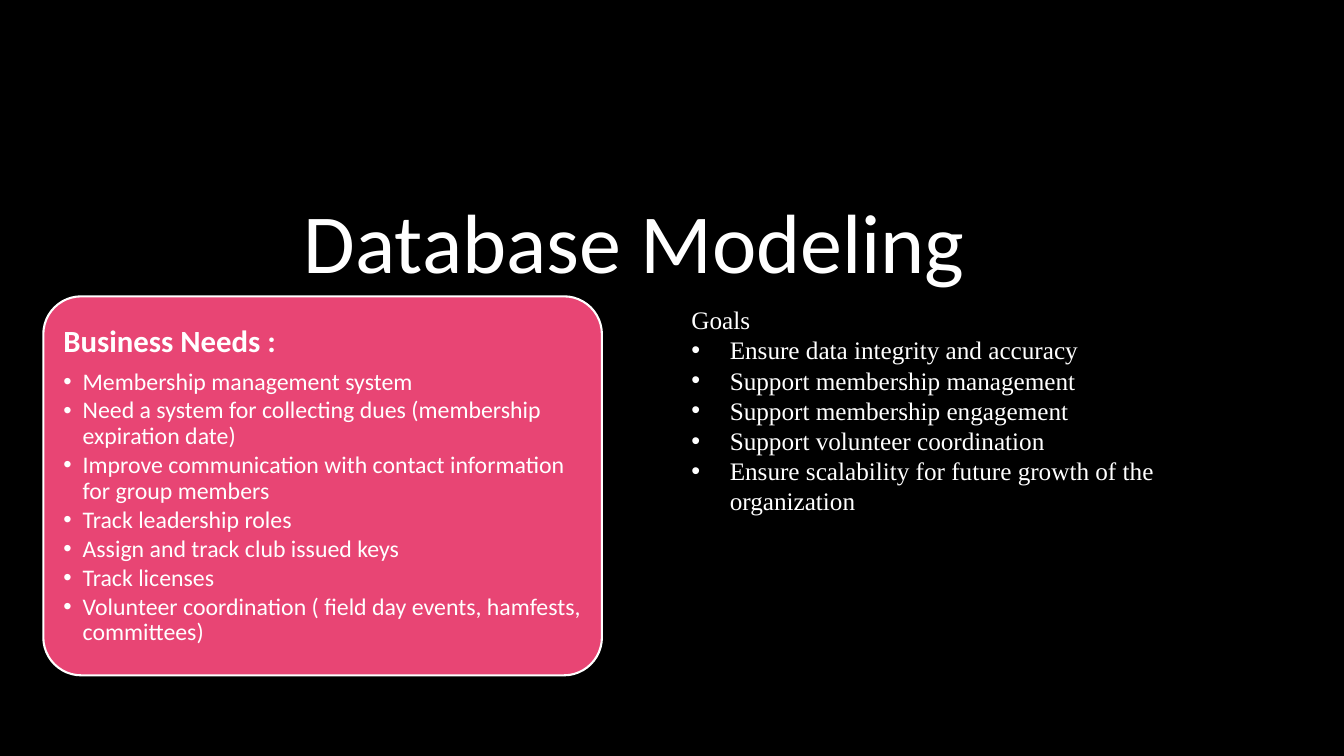
from lxml.etree import SubElement
from pptx import Presentation
from pptx.dml.color import RGBColor
from pptx.enum.shapes import MSO_SHAPE
from pptx.enum.text import MSO_ANCHOR, PP_ALIGN
from pptx.oxml.ns import qn
from pptx.util import Inches, Pt

COLORS = {"background": "000000", "text": "FFFFFF", "card": "E84574"}

BUSINESS_NEEDS = [
    "Membership management system",
    "Need a system for collecting dues (membership expiration date)",
    "Improve communication with contact information for group members",
    "Track leadership roles",
    "Assign and track club issued keys",
    "Track licenses",
    "Volunteer coordination ( field day events, hamfests, committees)",
]
GOALS = [
    "Ensure data integrity and accuracy",
    "Support membership management",
    "Support membership engagement",
    "Support volunteer coordination",
    "Ensure scalability for future growth of the organization",
]


class SlideBuilder:
    heading_font = "Calibri"
    goals_font = "Times New Roman"

    def __init__(self, slide):
        self.slide = slide
        fill = slide.background.fill
        fill.solid()
        fill.fore_color.rgb = self.color("background")

    def color(self, name):
        return RGBColor.from_string(COLORS[name])

    def style(self, paragraph, font, size, bold=False, align=PP_ALIGN.LEFT):
        paragraph.alignment = align
        for run in paragraph.runs:
            run.font.name = font
            run.font.size = Pt(size)
            run.font.bold = bold
            run.font.color.rgb = self.color("text")

    def bullet(self, paragraph, indent):
        properties = paragraph._p.get_or_add_pPr()
        properties.set("marL", str(Inches(indent)))
        properties.set("indent", str(-Inches(indent)))
        SubElement(properties, qn("a:buFont"), typeface="Arial")
        SubElement(properties, qn("a:buChar"), char="•")

    def title(self, text, box):
        title = self.slide.shapes.title
        title.left, title.top, title.width, title.height = map(Inches, box)
        title.text_frame.text = text
        title.text_frame.vertical_anchor = MSO_ANCHOR.MIDDLE
        self.style(title.text_frame.paragraphs[0], self.heading_font, 60,
                   align=PP_ALIGN.CENTER)

    def bullet_list(self, frame, heading, items, font, sizes, indent,
                    bold=False, line_spacing=1.0, gaps=(0, 0)):
        frame.word_wrap = True
        frame.text = "\n".join([heading, *items])
        for position, paragraph in enumerate(frame.paragraphs):
            is_item = position > 0
            paragraph.line_spacing = line_spacing
            paragraph.space_after = Pt(gaps[is_item])
            self.style(paragraph, font, sizes[is_item], bold and not is_item)
            if is_item:
                self.bullet(paragraph, indent)

    def goals(self, heading, items, box):
        goals = self.slide.shapes.add_textbox(*map(Inches, box))
        self.bullet_list(goals.text_frame, heading, items, self.goals_font,
                         (18, 18), 0.38)

    def card(self, heading, items, box):
        card = self.slide.shapes.add_shape(MSO_SHAPE.ROUNDED_RECTANGLE,
                                           *map(Inches, box))
        card.adjustments[0] = 0.1
        card.shadow.inherit = False
        card.fill.solid()
        card.fill.fore_color.rgb = self.color("card")
        card.line.color.rgb = self.color("text")
        card.line.width = Pt(1.5)
        frame = card.text_frame
        frame.vertical_anchor = MSO_ANCHOR.MIDDLE
        frame.margin_left = frame.margin_right = Inches(0.09)
        frame.margin_top = frame.margin_bottom = Inches(0.09)
        self.bullet_list(frame, heading, items, self.heading_font, (22, 17),
                         0.19, bold=True, line_spacing=0.9, gaps=(7.5, 2.3))


def main():
    presentation = Presentation()
    presentation.slide_width = Inches(13.33)
    presentation.slide_height = Inches(7.5)
    title_only = presentation.slide_layouts[5]
    builder = SlideBuilder(presentation.slides.add_slide(title_only))
    builder.title("Database Modeling", (0.75, 0.67, 11.08, 3.42))
    builder.goals("Goals", GOALS, (6.76, 2.97, 5.23, 2.52))
    builder.card("Business Needs :", BUSINESS_NEEDS, (0.43, 2.94, 5.54, 3.76))
    presentation.save("out.pptx")


if __name__ == "__main__":
    main()
